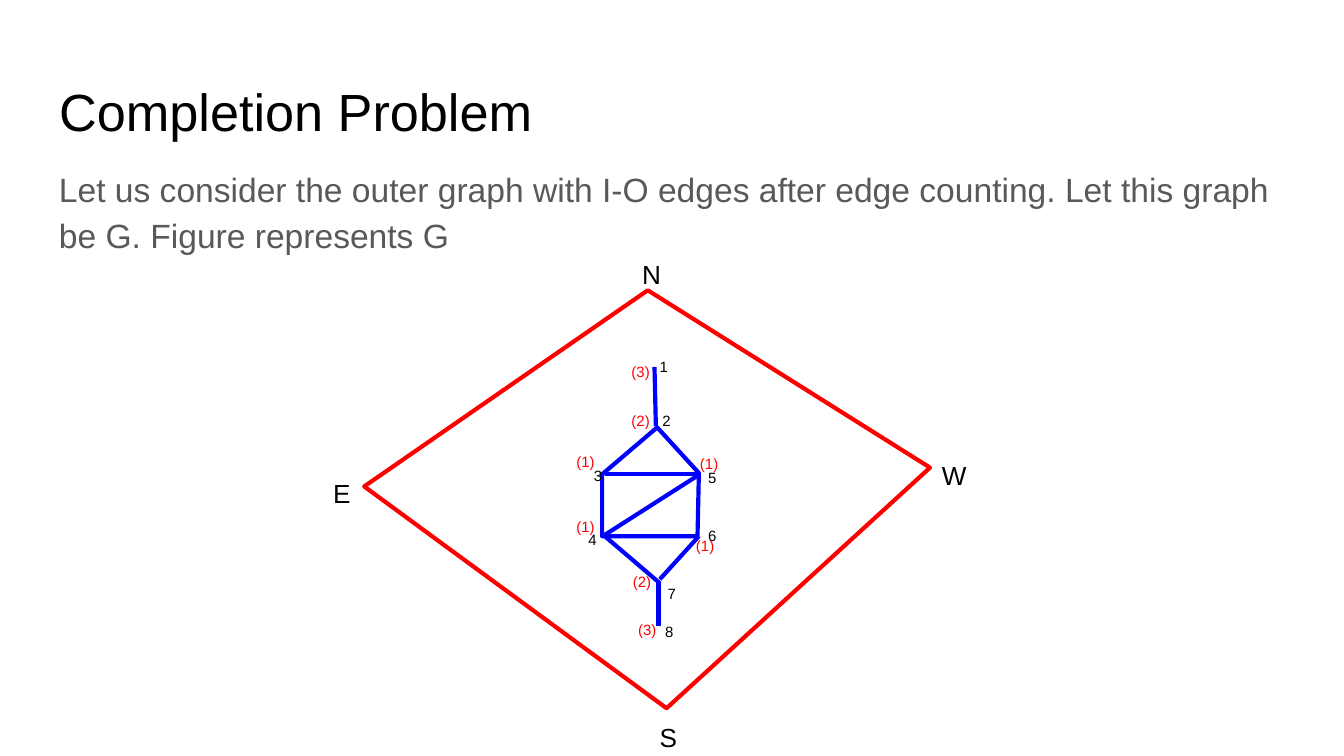
from lxml.etree import SubElement
from pptx import Presentation
from pptx.dml.color import RGBColor
from pptx.enum.shapes import MSO_CONNECTOR as Connector
from pptx.enum.text import MSO_ANCHOR as Anchor, MSO_AUTO_SIZE as AutoSize, PP_ALIGN as Align
from pptx.oxml.ns import qn
from pptx.util import Inches, Pt

BLACK = RGBColor(0x00, 0x00, 0x00)
GRAY = RGBColor(0x59, 0x59, 0x59)
RED = RGBColor(0xFF, 0x00, 0x00)
BLUE = RGBColor(0x00, 0x00, 0xFF)
FONT = "Arial"
PAGE_WIDTH = 10
PAGE_HEIGHT = PAGE_WIDTH * 9 / 16
INSET = 0.1
EDGE_WIDTH = 2.25

BODY = ("Let us consider the outer graph with I-O edges after edge counting. "
        "Let this graph be G. Figure represents G")

# Graph geometry, in inches
OUTER_CYCLE = [(4.82, 2.16), (2.71, 3.62), (4.96, 5.27), (6.92, 3.48)]
INNER_CYCLE = [(4.89, 3.18), (4.48, 3.53), (4.48, 3.99), (5.19, 3.99), (5.2, 3.52)]
INNER_EDGES = [
    ((4.88, 3.17), (4.87, 2.73)),  # 2-1
    ((4.5, 3.53), (5.19, 3.53)),   # 3-5
    ((4.5, 3.98), (5.19, 3.54)),   # 4-5
    ((5.2, 3.99), (4.91, 4.31)),   # 6-7
    ((4.5, 3.99), (4.91, 4.34)),   # 4-7
    ((4.9, 4.32), (4.9, 4.66)),    # 7-8
]

# Labels: text, left, top
POLES = [("N", 4.68, 1.82), ("S", 4.81, 5.27), ("E", 2.38, 3.45), ("W", 6.91, 3.32)]
VERTICES = [
    ("2", 4.83, 2.96), ("1", 4.81, 2.56), ("3", 4.32, 3.37), ("5", 5.17, 3.39),
    ("4", 4.28, 3.85), ("6", 5.17, 3.82), ("7", 4.87, 4.25), ("8", 4.85, 4.53),
]
COUNTS = [
    ("(3)", 4.6, 2.6), ("(2)", 4.6, 2.96), ("(1)", 5.11, 3.28), ("(1)", 4.19, 3.27),
    ("(1)", 4.19, 3.75), ("(1)", 5.08, 3.89), ("(2)", 4.61, 4.16), ("(3)", 4.65, 4.52),
]


def write_text(box, text, size, color, line_spacing=None, space_after=None):
    frame = box.text_frame
    frame.word_wrap = True
    frame.auto_size = AutoSize.NONE
    frame.vertical_anchor = Anchor.TOP
    frame.margin_left = frame.margin_right = Inches(INSET)
    frame.margin_top = frame.margin_bottom = Inches(INSET)
    para = frame.paragraphs[0]
    para.alignment = Align.LEFT
    para.line_spacing = line_spacing
    if space_after is not None:
        para.space_after = Pt(space_after)
    span = para.add_run()
    span.text = text
    span.font.name = FONT
    span.font.size = Pt(size)
    span.font.color.rgb = color


def add_text(page, text, left, top, width, height, **style):
    box = page.shapes.add_textbox(Inches(left), Inches(top), Inches(width), Inches(height))
    write_text(box, text, **style)


def set_title(page, text, left, top, width, height, **style):
    title = page.shapes.title
    title.left, title.top = Inches(left), Inches(top)
    title.width, title.height = Inches(width), Inches(height)
    write_text(title, text, **style)


def add_cycle(page, points, color):
    corners = [(Inches(x), Inches(y)) for x, y in points]
    builder = page.shapes.build_freeform(*corners[0])
    builder.add_line_segments(corners[1:], close=True)
    cycle = builder.convert_to_shape()
    cycle.shadow.inherit = False
    cycle.fill.background()
    cycle.line.color.rgb = color
    cycle.line.width = Pt(EDGE_WIDTH)


def add_edge(page, start, end, color):
    edge = page.shapes.add_connector(
        Connector.STRAIGHT, *[Inches(value) for value in (*start, *end)])
    edge.line.color.rgb = color
    edge.line.width = Pt(EDGE_WIDTH)
    SubElement(edge._element.spPr, qn("a:effectLst"))


def add_labels(page, labels, width, height, **style):
    for text, left, top in labels:
        add_text(page, text, left, top, width, height, **style)


def main():
    deck = Presentation()
    deck.slide_width, deck.slide_height = Inches(PAGE_WIDTH), Inches(PAGE_HEIGHT)
    page = deck.slides.add_slide(deck.slide_layouts[5])

    # Heading and introduction
    set_title(page, "Completion Problem", 0.34, 0.49, 9.32, 0.63, size=28, color=BLACK)
    add_text(page, BODY, 0.34, 1.11, 9.32, 0.89,
             size=18, color=GRAY, line_spacing=1.15, space_after=16)

    # Outer and inner graph
    add_cycle(page, OUTER_CYCLE, RED)
    add_edge(page, *INNER_EDGES[0], BLUE)
    add_cycle(page, INNER_CYCLE, BLUE)
    for start, end in INNER_EDGES[1:]:
        add_edge(page, start, end, BLUE)

    # Pole names, vertex numbers and edge counts
    add_labels(page, POLES, 0.33, 0.27, size=14, color=BLACK)
    add_labels(page, VERTICES, 0.33, 0.27, size=8, color=BLACK)
    add_labels(page, COUNTS, 0.41, 0.33, size=8, color=RED)

    deck.save("out.pptx")


if __name__ == "__main__":
    main()
